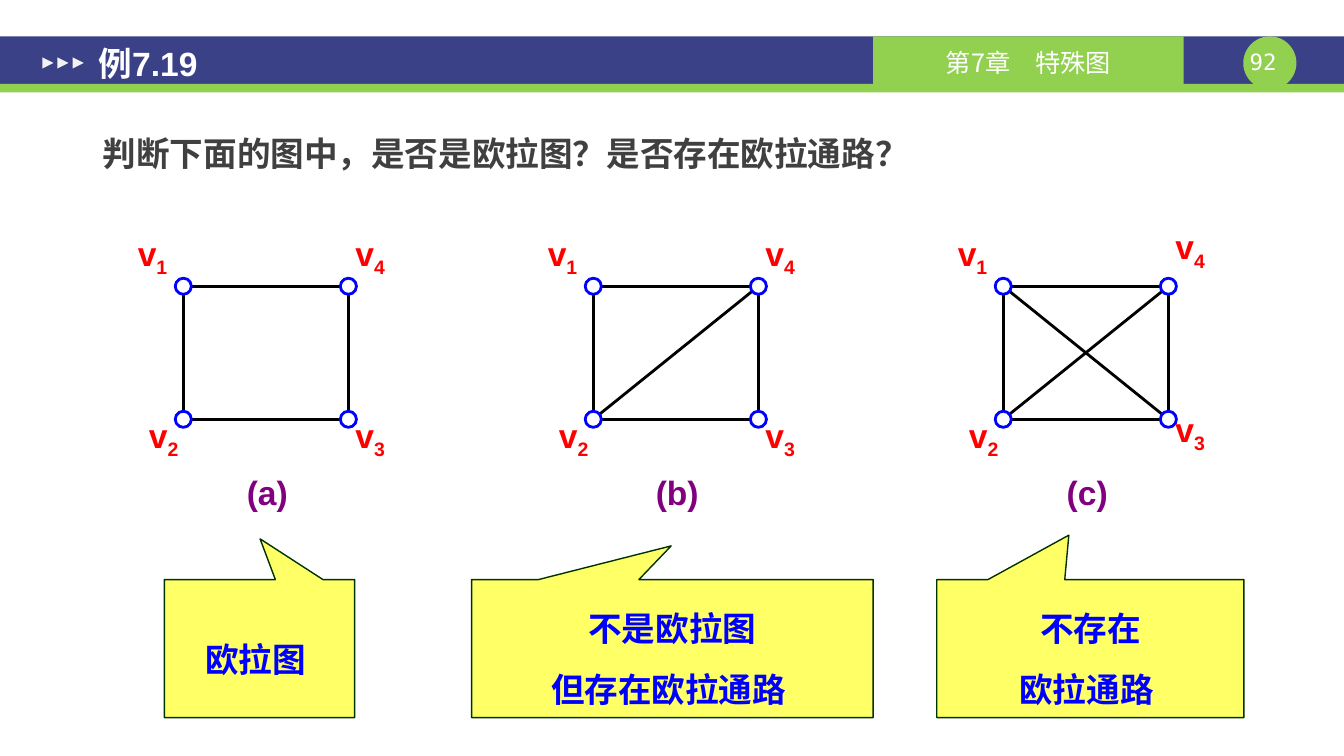
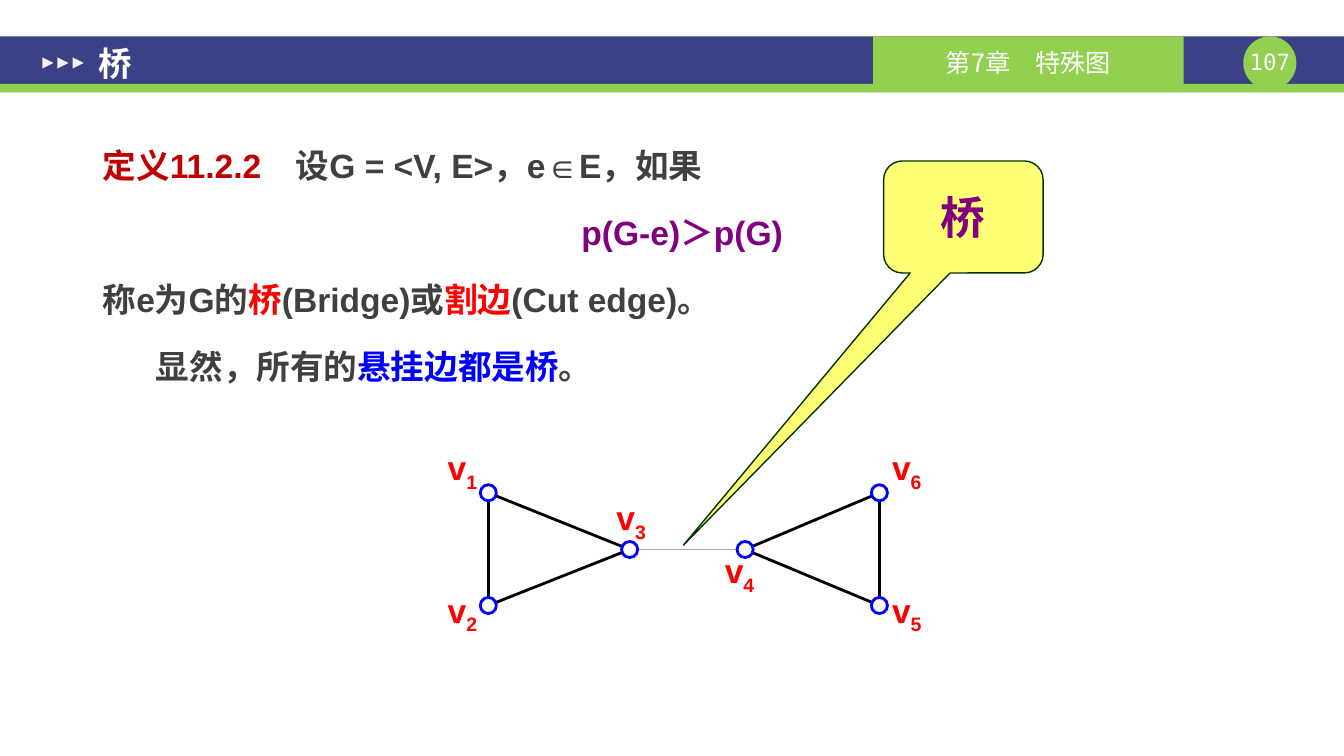
from math import hypot

from lxml.etree import SubElement
from pptx import Presentation
from pptx.dml.color import RGBColor
from pptx.enum.shapes import MSO_CONNECTOR as CONN, MSO_SHAPE as SHAPE
from pptx.enum.text import MSO_ANCHOR as ANCHOR, MSO_AUTO_SIZE as FIT, PP_ALIGN as ALIGN
from pptx.oxml.ns import qn
from pptx.util import Pt

NAVY, GREEN, WHITE, PALE = "3A4187", "92D050", "FFFFFF", "F2F2F2"
DARK, RED, CRIMSON, BLUE, PURPLE = "404040", "FF0000", "C00000", "0000FF", "800080"
YELLOW, FOREST, BLACK, GREY = "FFFF66", "003300", "000000", "A6A6A6"
CJK = "Noto Sans CJK SC"
BOLD = {"name": "Arial", "size": Pt(24), "bold": True}
CHAPTER = {"name": CJK, "size": Pt(18)}
PAGE = {"name": "DejaVu Sans Mono", "size": Pt(16)}
CENTRE = {"alignment": ALIGN.CENTER}
CENTRE_WIDE = {"alignment": ALIGN.CENTER, "line_spacing": 1.5}
WIDE = (9.4, 5, 9.4, 5)
INSET = (7.2, 3.6, 7.2, 3.6)
NODE = 11.5
SOLID = (BLACK, 2)


def rgb(value):
    """Turn a hex string into a colour."""
    return RGBColor.from_string(value)


def apply(obj, values):
    """Set each attribute named in a dict."""
    for name, value in values.items():
        setattr(obj, name, value)


def add_run(p, text, colour, font, baseline=0):
    """Add one formatted run to a paragraph."""
    r = p.add_run()
    r.text = text
    apply(r.font, font)
    r.font.color.rgb = rgb(colour)
    rPr = r._r.get_or_add_rPr()
    SubElement(rPr, qn("a:ea")).set("typeface", CJK)
    if baseline:
        rPr.set("baseline", str(baseline * 1000))


def write(sp, lines, font=BOLD, para=CENTRE, ins=(0, 0, 0, 0), anchor=ANCHOR.MIDDLE, gap=0):
    """Fill a shape with paragraphs, each a list of runs, and return them."""
    tf = sp.text_frame
    margins = zip(("margin_left", "margin_top", "margin_right", "margin_bottom"), map(Pt, ins))
    apply(tf, {"word_wrap": True, "auto_size": FIT.NONE, "vertical_anchor": anchor, **dict(margins)})
    for i, runs in enumerate(lines):
        p = tf.add_paragraph() if i else tf.paragraphs[0]
        apply(p, para)
        if i and gap:
            p.space_before = Pt(gap)
        for text, colour, *baseline in runs:
            add_run(p, text, colour, font, *baseline)
    return tf.paragraphs


def add_shape(s, kind, box, fill, line=None, adj=()):
    """Draw a preset shape with a plain fill and an optional outline."""
    sp = s.shapes.add_shape(kind, *map(Pt, box))
    sp.shadow.inherit = False
    sp.fill.solid()
    sp.fill.fore_color.rgb = rgb(fill)
    if line:
        sp.line.color.rgb, sp.line.width = rgb(line[0]), Pt(line[1])
    else:
        sp.line.fill.background()
    for i, value in enumerate(adj):
        sp.adjustments[i] = value
    return sp


def add_text(s, box, lines, **style):
    """Add a text box and return its paragraphs."""
    return write(s.shapes.add_textbox(*map(Pt, box)), lines, **style)


def add_edge(s, start, end, line):
    """Draw a line between the rims of two nodes."""
    (x1, y1), (x2, y2) = start, end
    trim = NODE / 2 / hypot(x2 - x1, y2 - y1)
    dx, dy = (x2 - x1) * trim, (y2 - y1) * trim
    ends = (x1 + dx, y1 + dy, x2 - dx, y2 - dy)
    cn = s.shapes.add_connector(CONN.STRAIGHT, *(Pt(round(v, 2)) for v in ends))
    cn.line.color.rgb, cn.line.width = rgb(line[0]), Pt(line[1])
    SubElement(cn._element.spPr, qn("a:effectLst"))


def add_graph(s, nodes, edges):
    """Draw a graph; each node is its centre and the offset of its label."""
    for a, b, line in edges:
        add_edge(s, nodes[a][:2], nodes[b][:2], line)
    for key, (x, y, dx, dy) in nodes.items():
        add_shape(s, SHAPE.OVAL, (x - NODE / 2, y - NODE / 2, NODE, NODE), WHITE, (BLUE, 2))
        add_text(s, (x + dx - 16, y + dy - 14.5, 32, 29),
                 [[("v", RED), (key, RED, -25)]], anchor=ANCHOR.TOP)


def add_square_graph(s, left, diagonals, lift):
    """Draw a four-node square with some diagonals; lift raises the right labels."""
    top, right, bottom = 204.5, left + 118, 299.5
    nodes = {"1": (left, top, -22, -24), "2": (left, bottom, -14, 11),
             "3": (right, bottom, 15.5, 11 - lift), "4": (right, top, 15.5, -24 - lift)}
    add_graph(s, nodes, [(a, b, SOLID) for a, b in ["12", "23", "34", "41", *diagonals]])


def furnish_layout(layout, s):
    """Draw the header band and move it to the layout that all slides share."""
    for ph in list(layout.placeholders)[1:]:
        ph.element.getparent().remove(ph.element)
    band = [add_shape(s, SHAPE.RECTANGLE, (0, 26, 960.5, 34), NAVY),
            add_shape(s, SHAPE.RECTANGLE, (0, 60, 960.5, 6), GREEN),
            add_shape(s, SHAPE.OVAL, (888.5, 26, 38, 38), GREEN)]
    chapter = add_shape(s, SHAPE.RECTANGLE, (624, 26, 222, 34), GREEN)
    write(chapter, [[("第7章　特殊图", WHITE)]], CHAPTER, ins=(7.2, 2.9, 7.2, 0))
    band.append(chapter)
    for i in range(3):
        arrow = add_shape(s, SHAPE.ISOSCELES_TRIANGLE, (30.2 + 10.8 * i, 41, 8, 8), PALE)
        arrow.rotation = 90
        band.append(arrow)
    for sp in band:
        layout.shapes.element.append(sp.element)


def head(s, title, page):
    """Fill the title placeholder and the page number."""
    sp = s.shapes.title
    apply(sp, dict(zip(("left", "top", "width", "height"), map(Pt, (61, 28, 420, 34)))))
    write(sp, [[(title, WHITE)]], para={"alignment": ALIGN.LEFT}, ins=WIDE)
    add_text(s, (888.5, 34.5, 38, 19.5), [[(page, WHITE)]], font=PAGE, anchor=ANCHOR.TOP)


def euler_slide(s):
    """Build the slide on Euler graphs."""
    head(s, "例7.19", "92 ")
    add_text(s, (64, 84, 847, 46), [[("判断下面的图中，是否是欧拉图？是否存在欧拉通路？", DARK)]],
             para={"line_spacing": 1.2}, ins=WIDE, anchor=ANCHOR.TOP)
    cases = [("(a)", [], 0, 117.5, 136, (0.003, -0.795), ["欧拉图 "]),
             ("(b)", ["24"], 0, 337, 287, (-0.003, -0.744), ["不是欧拉图", "但存在欧拉通路 "]),
             ("(c)", ["24", "13"], 4.3, 669.5, 219.5, (-0.07, -0.822), ["不存在", "欧拉通路 "])]
    for i, (caption, diagonals, lift, x, width, tip, answer) in enumerate(cases):
        left = 131 + 293 * i
        add_square_graph(s, left, diagonals, lift)
        add_text(s, (left + 35.5, 337, 49, 29), [[(caption, PURPLE)]], anchor=ANCHOR.TOP)
        sp = add_shape(s, SHAPE.RECTANGULAR_CALLOUT, (x, 414, width, 98.6), YELLOW, (FOREST, 1), tip)
        write(sp, [[(line, BLUE)] for line in answer], para=CENTRE_WIDE, ins=INSET)


def bridge_slide(s):
    """Build the slide that defines a bridge."""
    head(s, "桥", "107 ")
    term, formula, _, remark = add_text(s, (64, 84, 847, 251), [
        [("定义11.2.2\t", CRIMSON), ("设G = <V, E>，e∈E，如果", DARK)],
        [("p(G-e)＞p(G)", PURPLE)],
        [("称e为G的", DARK), ("桥", RED), ("(Bridge)或", DARK), ("割边", RED), ("(Cut edge)。", DARK)],
        [("显然，所有的", DARK), ("悬挂边都是桥", BLUE), ("。", DARK)],
    ], para={"line_spacing": 1.5}, ins=WIDE, anchor=ANCHOR.TOP, gap=4.8)
    tabs = SubElement(term._p.get_or_add_pPr(), qn("a:tabLst"))
    SubElement(tabs, qn("a:tab"), pos=str(Pt(138)), algn="l")
    formula.alignment = ALIGN.CENTER
    remark._p.get_or_add_pPr().set("indent", str(Pt(38)))

    left, right, top, middle, bottom = 349, 628.5, 352, 392.5, 432.5
    nodes = {"1": (left, top, -18.5, -18), "2": (left, bottom, -18.5, 3),
             "3": (450, middle, 1, -23), "4": (532.5, middle, -4, 15),
             "5": (right, bottom, 19.5, 3), "6": (right, top, 19.5, -18)}
    edges = [(a, b, SOLID) for a, b in ["12", "13", "23", "45", "46", "56"]]
    add_graph(s, nodes, edges + [("3", "4", (GREY, 0.5))])

    sp = add_shape(s, SHAPE.ROUNDED_RECTANGULAR_CALLOUT, (631.5, 115, 114, 80), YELLOW,
                   (FOREST, 1), (-1.755, 2.931, 0.167))
    colour = sp.element.spPr.find(qn("a:solidFill"))[0]
    SubElement(colour, qn("a:alpha")).set("val", "90000")
    write(sp, [[("桥", PURPLE)]], {**BOLD, "size": Pt(32)}, ins=WIDE)


def main():
    """Build and save the presentation."""
    prs = Presentation()
    prs.slide_width, prs.slide_height = Pt(960.5), Pt(540)
    layout = prs.slide_layouts[5]
    for i, build in enumerate((euler_slide, bridge_slide)):
        s = prs.slides.add_slide(layout)
        if i == 0:
            furnish_layout(layout, s)
        build(s)
    prs.save("out.pptx")


if __name__ == "__main__":
    main()
